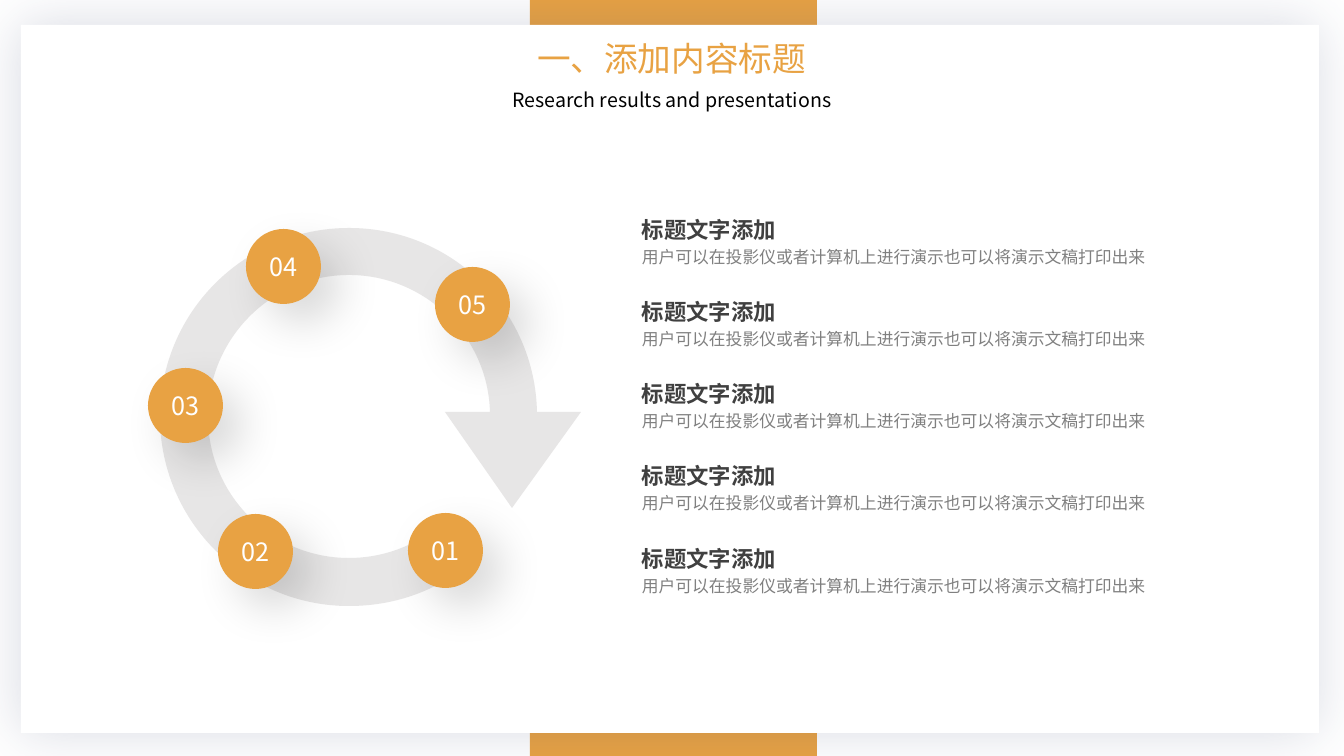
from lxml.etree import SubElement
from pptx import Presentation
from pptx.dml.color import RGBColor
from pptx.enum.shapes import MSO_SHAPE as Shape
from pptx.enum.text import MSO_ANCHOR as Anchor, MSO_AUTO_SIZE as AutoSize, PP_ALIGN as Align
from pptx.oxml.ns import qn
from pptx.util import Pt

PX = 9072
FONT = "Noto Sans CJK SC"
ORANGE = RGBColor(0xE8, 0xA2, 0x43)
WHITE = RGBColor(0xFF, 0xFF, 0xFF)
BLACK = RGBColor(0x00, 0x00, 0x00)
RING_GRAY = RGBColor(0xE7, 0xE6, 0xE6)
HEADING_GRAY = RGBColor(0x40, 0x40, 0x40)
BODY_GRAY = RGBColor(0x80, 0x80, 0x80)
SHADOW_BLUE = RGBColor(0x43, 0x4E, 0x77)

presentation = Presentation()
presentation.slide_width = 1344 * PX
presentation.slide_height = 756 * PX
slide = presentation.slides.add_slide(presentation.slide_layouts[6])


def add_solid(kind, left, top, width, height, color, shadow=None):
    shape = slide.shapes.add_shape(kind, left * PX, top * PX, width * PX, height * PX)
    shape.fill.solid()
    shape.fill.fore_color.rgb = color
    shape.line.fill.background()
    shape.shadow.inherit = False
    if shadow:
        shadow_color, opacity, blur, distance, angle = shadow
        effects = shape._element.spPr.find(qn("a:effectLst"))
        outer = SubElement(effects, qn("a:outerShdw"), blurRad=str(Pt(blur)), dist=str(Pt(distance)),
                           dir=str(angle * 60000), algn="ctr", rotWithShape="0")
        tint = SubElement(outer, qn("a:srgbClr"), val=str(shadow_color))
        SubElement(tint, qn("a:alpha"), val=str(opacity * 1000))
    return shape


def add_text(text, size, color, box=None, shape=None, align=Align.CENTER, spacing=None, bold=False):
    if box:
        shape = slide.shapes.add_textbox(*(length * PX for length in box))
        shape.text_frame.auto_size = AutoSize.SHAPE_TO_FIT_TEXT
    frame = shape.text_frame
    frame.word_wrap = True
    paragraph = frame.paragraphs[0]
    paragraph.alignment = align
    paragraph.line_spacing = spacing
    run = paragraph.add_run()
    run.text = text
    run.font.size = Pt(size)
    run.font.bold = bold
    run.font.name = FONT
    run.font.color.rgb = color
    SubElement(run.font._element, qn("a:ea"), typeface=FONT)


add_solid(Shape.RECTANGLE, 530, 0, 287, 756, ORANGE)
add_solid(Shape.RECTANGLE, 21, 25, 1298, 708, WHITE, (SHADOW_BLUE, 20, 40, 0, 0))

add_text("一、添加内容标题", 24, ORANGE, (398, 33, 547, 50))
add_text("Research results and presentations", 14, BLACK, (323, 83, 698, 34))

ring_start = (349, 228)
ring_segments = [
    [(452, 228), (535, 310), (537, 412)],
    [(581, 412)],
    [(512, 508)],
    [(445, 412)],
    [(490, 412)],
    [(488, 336), (425, 275), (349, 275)],
    [(271, 275), (208, 339), (208, 417)],
    [(208, 495), (271, 558), (349, 558)],
    [(380, 558), (409, 548), (432, 531)],
    [(465, 567)],
    [(433, 592), (393, 606), (349, 606)],
    [(245, 606), (160, 521), (160, 417)],
    [(160, 312), (245, 228), ring_start],
]
builder = slide.shapes.build_freeform(*ring_start, scale=PX)
builder.add_line_segments([point for segment in ring_segments for point in segment], close=True)
ring = builder.convert_to_shape()
ring.fill.solid()
ring.fill.fore_color.rgb = RING_GRAY
ring.line.fill.background()
ring.shadow.inherit = False

steps = iter(list(ring._element.iter(qn("a:lnTo"))))
for segment in ring_segments:
    first, *others = [next(steps) for point in segment]
    if others:
        first.tag = qn("a:cubicBezTo")
    for step in others:
        first.append(step[0])
        step.getparent().remove(step)

badge_corners = [(408, 513), (218, 514), (148, 368), (246, 229), (435, 267)]
for number, (left, top) in enumerate(badge_corners, 1):
    badge = add_solid(Shape.OVAL, left, top, 75, 75, ORANGE, (BLACK, 14, 32, 19, 45))
    badge.text_frame.vertical_anchor = Anchor.MIDDLE
    add_text(f"{number:02}", 18, WHITE, shape=badge)

for row in range(5):
    top = 206 + 329 * row // 4
    add_text("用户可以在投影仪或者计算机上进行演示也可以将演示文稿打印出来", 12, BODY_GRAY,
             (632, top + 32, 558, 34), align=Align.LEFT, spacing=1.2)
    add_text("标题文字添加", 16, HEADING_GRAY, (632, top, 247, 42),
             align=Align.LEFT, spacing=1.2, bold=True)

presentation.save("out.pptx")
